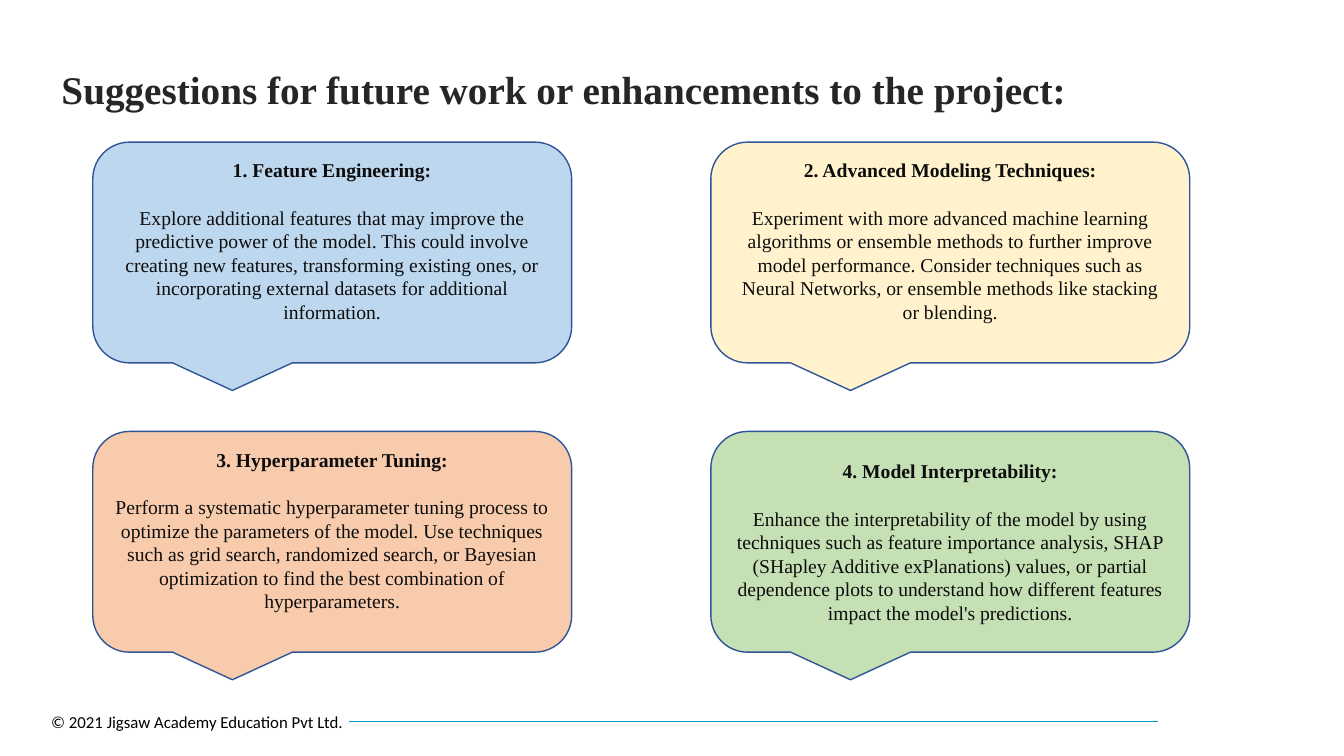
from pptx import Presentation
from pptx.dml.color import RGBColor
from pptx.enum.shapes import MSO_CONNECTOR, MSO_SHAPE
from pptx.enum.text import MSO_ANCHOR, PP_ALIGN
from pptx.oxml.ns import qn
from pptx.util import Inches, Pt

COLORS = {
    "title": "262626", "text": "0D0D0D", "footer": "000000",
    "outline": "2F5597", "rule": "00A0CC",
    "blue": "BDD7EE", "yellow": "FFF2CC", "orange": "F8CBAD", "green": "C5E0B4",
}
SERIF = "Times New Roman"
LEFT, TOP, WIDTH, HEIGHT = 0.92, 1.41, 4.75, 2.19
COLUMN_STEP, ROW_STEP = 6.13, 2.87

# Heading, body, fill, bottom inset
SUGGESTIONS = [
    ("1. Feature Engineering:",
     "Explore additional features that may improve the predictive power of the model. "
     "This could involve creating new features, transforming existing ones, or "
     "incorporating external datasets for additional information.",
     "blue", 0.28),
    ("2. Advanced Modeling Techniques:",
     "Experiment with more advanced machine learning algorithms or ensemble methods to "
     "further improve model performance. Consider techniques such as Neural Networks, "
     "or ensemble methods like stacking or blending.",
     "yellow", 0.28),
    ("3. Hyperparameter Tuning:",
     "Perform a systematic hyperparameter tuning process to optimize the parameters of "
     "the model. Use techniques such as grid search, randomized search, or Bayesian "
     "optimization to find the best combination of hyperparameters.",
     "orange", 0.28),
    ("4. Model Interpretability:",
     "Enhance the interpretability of the model by using techniques such as feature "
     "importance analysis, SHAP (SHapley Additive exPlanations) values, or partial "
     "dependence plots to understand how different features impact the model's "
     "predictions.",
     "green", 0.05),
]


def rgb(name):
    return RGBColor.from_string(COLORS[name])


def write(p, text, color, **font):
    r = p.add_run()
    r.text = text
    r.font.color.rgb = rgb(color)
    for key, value in font.items():
        setattr(r.font, key, value)


def set_title(s, text):
    title = s.shapes.title
    box = {"left": 0.51, "top": 0.52, "width": 12.31, "height": 0.78}
    for key, value in box.items():
        setattr(title, key, Inches(value))
    tf = title.text_frame
    tf.vertical_anchor = MSO_ANCHOR.MIDDLE
    p = tf.paragraphs[0]
    p.alignment = PP_ALIGN.LEFT
    p.line_spacing = 0.9
    write(p, text, "title", name=SERIF, size=Pt(28), bold=True)


def add_callout(s, left, top, heading, body, fill, bottom_inset):
    sp = s.shapes.add_shape(MSO_SHAPE.ROUNDED_RECTANGULAR_CALLOUT, Inches(left),
                            Inches(top), Inches(WIDTH), Inches(HEIGHT))
    sp.shadow.inherit = False
    sp.fill.solid()
    sp.fill.fore_color.rgb = rgb(fill)
    sp.line.color.rgb = rgb("outline")
    sp.line.width = Pt(1)
    tf = sp.text_frame
    tf.word_wrap = True
    tf.vertical_anchor = MSO_ANCHOR.MIDDLE
    tf.margin_bottom = Inches(bottom_inset)
    head_p, body_p = tf.paragraphs[0], tf.add_paragraph()
    body_p.space_before = Pt(17)
    for p, text, bold in ((head_p, heading, True), (body_p, body, False)):
        p.alignment = PP_ALIGN.CENTER
        write(p, text, "text", name=SERIF, size=Pt(14), bold=bold)


def add_footer(s, text):
    rule = s.shapes.add_connector(MSO_CONNECTOR.STRAIGHT, Inches(3.46), Inches(7.16),
                                  Inches(11.49), Inches(7.16))
    rule.line.color.rgb = rgb("rule")
    rule.line.width = Pt(0.5)
    sp_pr = rule._element.spPr
    sp_pr.append(sp_pr.makeelement(qn("a:effectLst"), {}))
    sp = s.shapes.add_textbox(Inches(0.41), Inches(7.01), Inches(3.13), Inches(0.3))
    tf = sp.text_frame
    tf.word_wrap = False
    write(tf.paragraphs[0], text, "footer", name="Calibri", size=Pt(12))


def main():
    prs = Presentation()
    prs.slide_width, prs.slide_height = Inches(13.33), Inches(7.5)
    s = prs.slides.add_slide(prs.slide_layouts[5])
    add_footer(s, "© 2021 Jigsaw Academy Education Pvt Ltd.")
    set_title(s, "Suggestions for future work or enhancements to the project:")
    for i, suggestion in enumerate(SUGGESTIONS):
        row, column = divmod(i, 2)
        add_callout(s, LEFT + column * COLUMN_STEP, TOP + row * ROW_STEP, *suggestion)
    prs.save("out.pptx")


if __name__ == "__main__":
    main()
